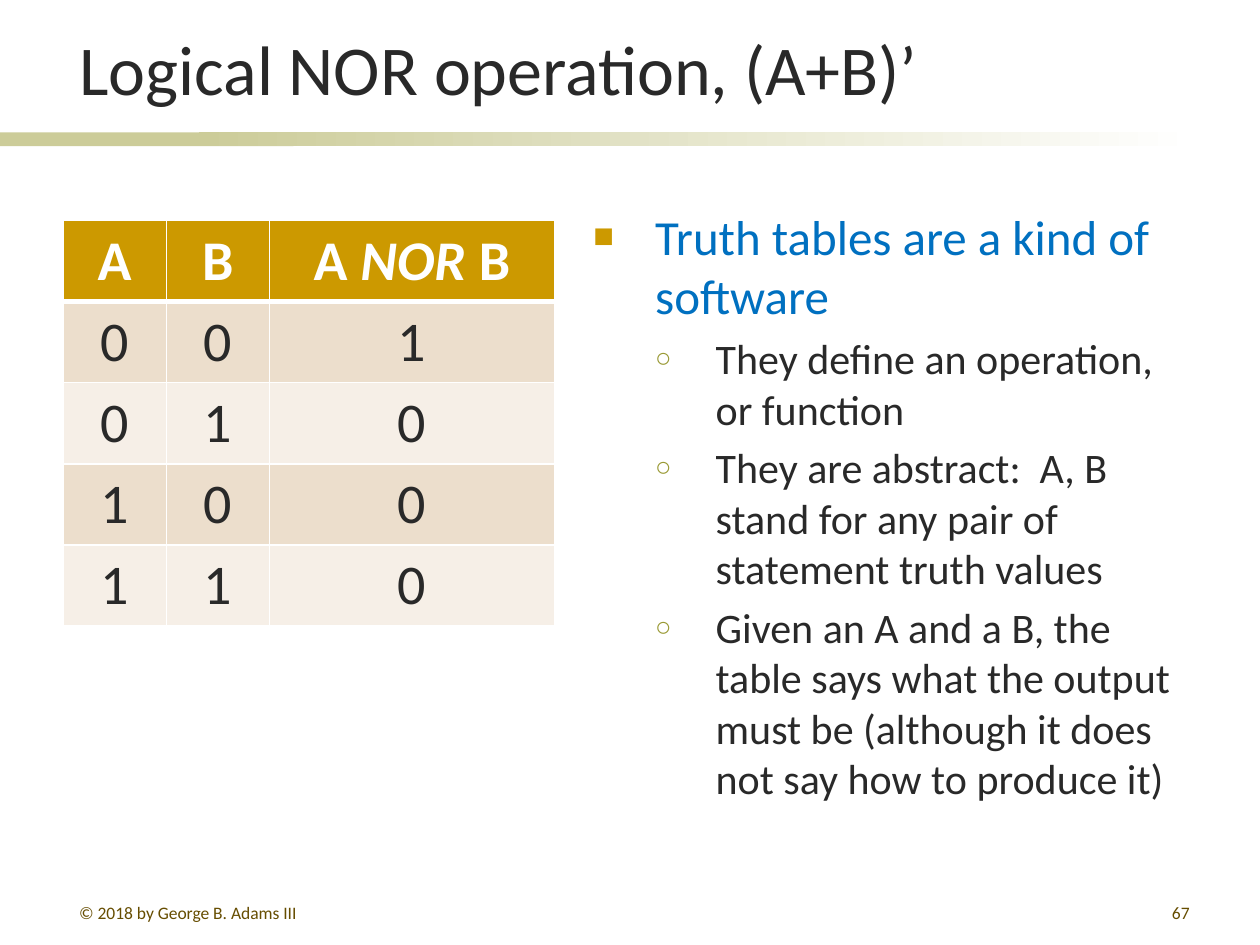
from lxml import etree
from pptx import Presentation
from pptx.dml.color import RGBColor as RGB
from pptx.enum.shapes import MSO_SHAPE as Shape
from pptx.enum.text import MSO_ANCHOR as Anchor, MSO_AUTO_SIZE as Auto, PP_ALIGN as Align
from pptx.oxml.ns import qn
from pptx.util import Inches, Pt


def color(code):
    return RGB.from_string(code)


def write(para, text, size=10, ink="292929", bold=False, italic=False, align=Align.LEFT):
    para.alignment = align
    run = para.add_run()
    run.text = text
    font = run.font
    font.name, font.size = "Calibri", Pt(size)
    font.bold, font.italic = bold, italic
    font.color.rgb = color(ink)


deck = Presentation()
deck.slide_width, deck.slide_height = Inches(10), Inches(7.5)
slide = deck.slides.add_slide(deck.slide_layouts[1])
shapes = slide.shapes

for left, wide in [(0, 2.33), (1.58, 7.92)]:
    bar = shapes.add_shape(Shape.RECTANGLE, Inches(left), Inches(1.05), Inches(wide), Inches(0.11))
    bar.shadow.inherit = False
    bar.line.fill.background()
    if left == 0:
        bar.fill.solid()
        bar.fill.fore_color.rgb = color("CCCC99")
    else:
        bar.fill.gradient()
        bar.fill.gradient_angle = 0
        for stop, code in zip(bar.fill.gradient_stops, ["CCCC99", "FFFFFF"]):
            stop.color.rgb = color(code)

title, body = shapes.title, slide.placeholders[1]
spots = [(title, 0.53, 0.11, 9.01, 0.81, Anchor.BOTTOM),
         (body, 4.61, 1.59, 4.8, 5.05, Anchor.TOP)]
for box, left, top, wide, high, anchor in spots:
    box.left, box.top = Inches(left), Inches(top)
    box.width, box.height = Inches(wide), Inches(high)
    frame = box.text_frame
    frame.auto_size, frame.word_wrap = Auto.NONE, True
    frame.vertical_anchor = anchor
write(title.text_frame.paragraphs[0], "Logical NOR operation, (A+B)’", size=40)

points = [
    (0, "Truth tables are a kind of software"),
    (1, "They define an operation, or function"),
    (1, "They are abstract:  A, B stand for any pair of statement truth values"),
    (1, "Given an A and a B, the table says what the output must be "
        "(although it does not say how to produce it)"),
]
looks = [(0.49, 0.49, "■", "CC9900", 70, 28, "0070C0", 0),
         (0.97, 0.48, "○", "999933", 65, 24, "292929", 4.8)]
frame = body.text_frame
for num, (level, text) in enumerate(points):
    margin, hang, mark, tint, scale, size, ink, gap = looks[level]
    para = frame.add_paragraph() if num else frame.paragraphs[0]
    para.level = level
    props = para._p.get_or_add_pPr()
    props.set("marL", str(Inches(margin)))
    props.set("indent", str(-Inches(hang)))
    shade = etree.SubElement(props, qn("a:buClr"))
    etree.SubElement(shade, qn("a:srgbClr"), val=tint)
    etree.SubElement(props, qn("a:buSzPct"), val=str(scale * 1000))
    etree.SubElement(props, qn("a:buFont"), typeface="Arial")
    etree.SubElement(props, qn("a:buChar"), char=mark)
    para.space_before = Pt(gap)
    write(para, text, size=size, ink=ink)

rows = [["A", "B", "A NOR B"], "001", "010", "100", "110"]
grid = shapes.add_table(5, 3, Inches(0.5), Inches(1.75), Inches(3.9), Inches(3.2)).table
for col, wide in zip(grid.columns, [0.82, 0.82, 2.26]):
    col.width = Inches(wide)
for r, row in enumerate(rows):
    grid.rows[r].height = Inches(0.64)
    for c, text in enumerate(row):
        cell = grid.cell(r, c)
        cell.margin_left = cell.margin_right = Inches(0.11)
        cell.margin_top = cell.margin_bottom = Inches(0.05)
        props = cell._tc.get_or_add_tcPr()
        for side in "LRTB":
            thick = 3 if (r, side) in [(0, "B"), (1, "T")] else 1
            edge = etree.SubElement(props, qn("a:ln" + side), w=str(Pt(thick)))
            fill = etree.SubElement(edge, qn("a:solidFill"))
            etree.SubElement(fill, qn("a:srgbClr"), val="FFFFFF")
        cell.fill.solid()
        cell.fill.fore_color.rgb = color("CC9900" if r == 0 else "ECDECC" if r % 2 else "F6EFE7")
        parts = ["A ", "NOR", " B"] if text == "A NOR B" else [text]
        for part in parts:
            write(cell.text_frame.paragraphs[0], part, size=32, bold=r == 0,
                  italic=part == "NOR", ink="292929" if r else "FFFFFF", align=Align.CENTER)

notes = [(0.53, 2.17, "© 2018 by George B. Adams III", Align.LEFT),
         (7.46, 2.08, "67", Align.RIGHT)]
for left, wide, text, align in notes:
    box = shapes.add_textbox(Inches(left), Inches(7.11), Inches(wide), Inches(0.21))
    box.text_frame.word_wrap = True
    write(box.text_frame.paragraphs[0], text, ink="664D00", align=align)

deck.save("out.pptx")
